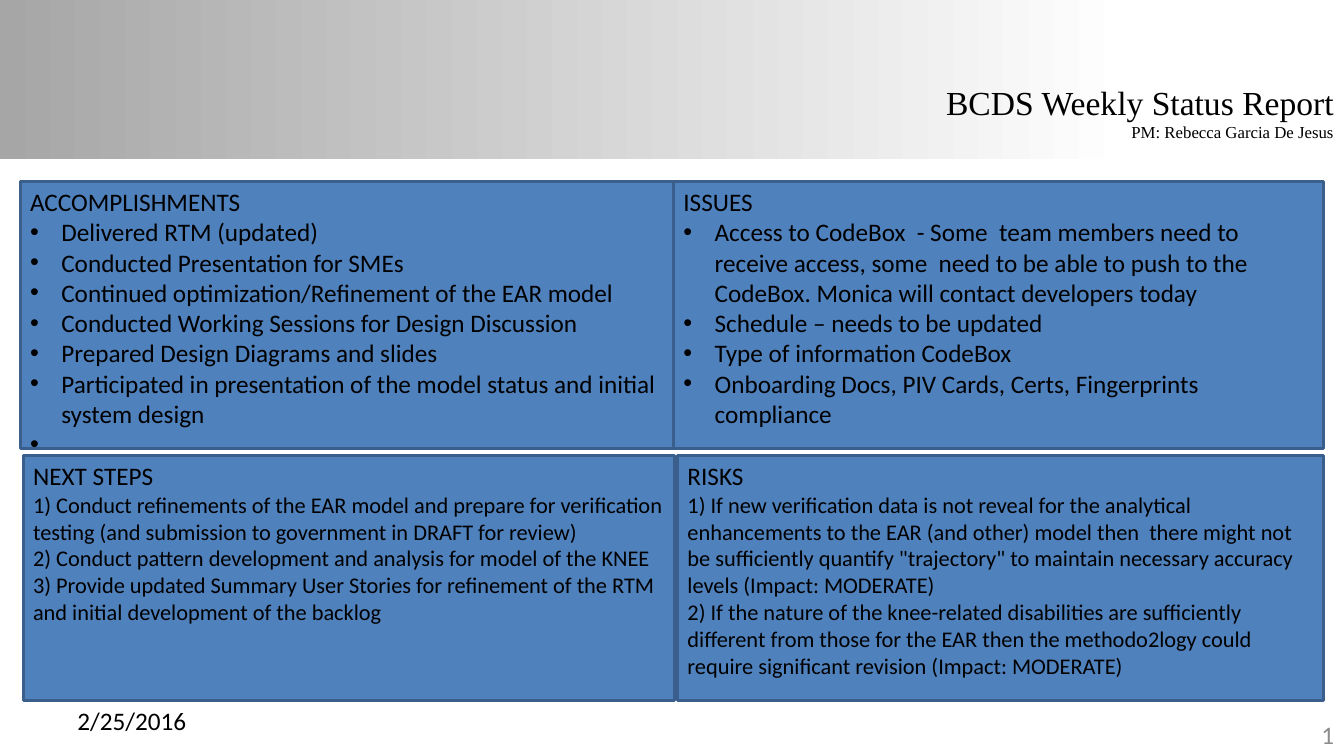
"""Build the BCDS weekly status report slide."""
import pptx
import pptx.util
import pptx.dml.color
import pptx.enum.shapes
import pptx.enum.text
import pptx.oxml.ns
import lxml.etree

Inches = pptx.util.Inches
Pt = pptx.util.Pt
PP_ALIGN = pptx.enum.text.PP_ALIGN
ANCHOR = pptx.enum.text.MSO_ANCHOR
AUTO_SIZE = pptx.enum.text.MSO_AUTO_SIZE

COLORS = {
    "text": "000000",
    "number": "8C8C8C",
    "panel": "4F81BD",
    "border": "3A5F8C",
    "band": "A6A6A6",
    "white": "FFFFFF",
}


def rgb(name):
    """Return the named colour."""
    return pptx.dml.color.RGBColor.from_string(COLORS[name])


class StatusSlide:
    """Hold the style and the slide, and draw each kind of element."""

    body_font = "Calibri"
    title_font = "Times New Roman"
    indent = Inches(0.31)

    def __init__(self, deck):
        """Add a title-only slide."""
        self.slide = deck.slides.add_slide(deck.slide_layouts[5])
        self.shapes = self.slide.shapes

    def set_text(self, paragraph, text, size, font=body_font, color="text", align=PP_ALIGN.LEFT):
        """Fill and format one paragraph."""
        paragraph.text = text
        paragraph.alignment = align
        paragraph.font.size = Pt(size)
        paragraph.font.name = font
        paragraph.font.color.rgb = rgb(color)

    def bullet(self, paragraph):
        """Give a paragraph a hanging bullet."""
        properties = paragraph._p.get_or_add_pPr()
        properties.set("marL", str(self.indent))
        properties.set("indent", str(-self.indent))
        for tag, key, value in (("a:buFont", "typeface", "Arial"), ("a:buChar", "char", "•")):
            lxml.etree.SubElement(properties, pptx.oxml.ns.qn(tag)).set(key, value)

    def rectangle(self, left, top, width, height):
        """Add a plain rectangle without shadow."""
        box = self.shapes.add_shape(
            pptx.enum.shapes.MSO_SHAPE.RECTANGLE,
            Inches(left), Inches(top), Inches(width), Inches(height))
        box.shadow.inherit = False
        return box

    def header(self, width, height):
        """Draw the fading band behind the title."""
        band = self.rectangle(0, 0, width, height)
        band.line.fill.background()
        band.fill.gradient()
        band.fill.gradient_angle = 0
        for stop, position, color in zip(band.fill.gradient_stops, (0, 0.84), ("band", "white")):
            stop.position = position
            stop.color.rgb = rgb(color)
        self.shapes.title.element.addprevious(band.element)

    def title(self, left, top, width, height, heading, manager):
        """Place the title and the manager line."""
        title = self.shapes.title
        title.left, title.top = Inches(left), Inches(top)
        title.width, title.height = Inches(width), Inches(height)
        frame = title.text_frame
        frame.word_wrap = False
        frame.auto_size = AUTO_SIZE.SHAPE_TO_FIT_TEXT
        frame.vertical_anchor = ANCHOR.TOP
        self.set_text(frame.paragraphs[0], heading, 24, self.title_font, align=PP_ALIGN.RIGHT)
        self.set_text(frame.add_paragraph(), manager, 12, self.title_font, align=PP_ALIGN.RIGHT)

    def footer(self, left, top, text, color="text", align=PP_ALIGN.LEFT):
        """Add a footer text."""
        frame = self.shapes.add_textbox(
            Inches(left), Inches(top), Inches(3.11), Inches(0.4)).text_frame
        frame.word_wrap = True
        frame.vertical_anchor = ANCHOR.MIDDLE
        self.set_text(frame.paragraphs[0], text, 18, color=color, align=align)

    def panel(self, left, top, width, height, heading, items, size, bulleted):
        """Draw a report panel with its heading and items."""
        box = self.rectangle(left, top, width, height)
        box.fill.solid()
        box.fill.fore_color.rgb = rgb("panel")
        box.line.color.rgb = rgb("border")
        box.line.width = Pt(2)
        frame = box.text_frame
        frame.word_wrap = True
        frame.vertical_anchor = ANCHOR.TOP
        self.set_text(frame.paragraphs[0], heading, 18)
        for item in items:
            paragraph = frame.add_paragraph()
            if bulleted:
                self.bullet(paragraph)
            self.set_text(paragraph, item, size)


def main():
    """Build and save the report."""
    deck = pptx.Presentation()
    deck.slide_width, deck.slide_height = Inches(13.33), Inches(7.5)
    report = StatusSlide(deck)
    report.header(13.33, 1.58)
    report.title(9.25, 0.76, 4.08, 0.71,
                 "BCDS Weekly Status Report", "PM: Rebecca Garcia De Jesus")
    report.footer(10.22, 7.09, "1", "number", PP_ALIGN.RIGHT)
    report.footer(0.67, 6.95, "2/25/2016")

    accomplishments = [
        "Delivered RTM (updated)",
        "Conducted Presentation for SMEs",
        "Continued optimization/Refinement of the EAR model",
        "Conducted Working Sessions for Design Discussion",
        "Prepared Design Diagrams and slides",
        "Participated in presentation of the model status and initial system design",
        " ",
    ]
    next_steps = [
        "1) Conduct refinements of the EAR model and prepare for verification testing "
        "(and submission to government in DRAFT for review)",
        "2) Conduct pattern development and analysis for model of the KNEE",
        "3) Provide updated Summary User Stories for refinement of the RTM "
        "and initial development of the backlog",
    ]
    issues = [
        "Access to CodeBox  - Some  team members need to receive access, some  need to be "
        "able to push to the CodeBox. Monica will contact developers today",
        "Schedule – needs to be updated",
        "Type of information CodeBox",
        "Onboarding Docs, PIV Cards, Certs, Fingerprints compliance",
    ]
    risks = [
        "1) If new verification data is not reveal for the analytical enhancements to the EAR "
        "(and other) model then  there might not be sufficiently quantify \"trajectory\" "
        "to maintain necessary accuracy levels (Impact: MODERATE)",
        "2) If the nature of the knee-related disabilities are sufficiently different from those "
        "for the EAR then the methodo2logy could require significant revision (Impact: MODERATE)",
    ]
    upper = {"top": 1.8, "height": 2.65, "size": 18, "bulleted": True}
    lower = {"top": 4.52, "height": 2.43, "size": 16, "bulleted": False}
    for left, width, heading, items, row in (
            (0.2, 6.48, "ACCOMPLISHMENTS", accomplishments, upper),
            (0.23, 6.46, "NEXT STEPS", next_steps, lower),
            (6.68, 6.45, "ISSUES", issues, upper),
            (6.72, 6.41, "RISKS", risks, lower)):
        report.panel(left=left, width=width, heading=heading, items=items, **row)
    deck.save("out.pptx")


if __name__ == "__main__":
    main()
